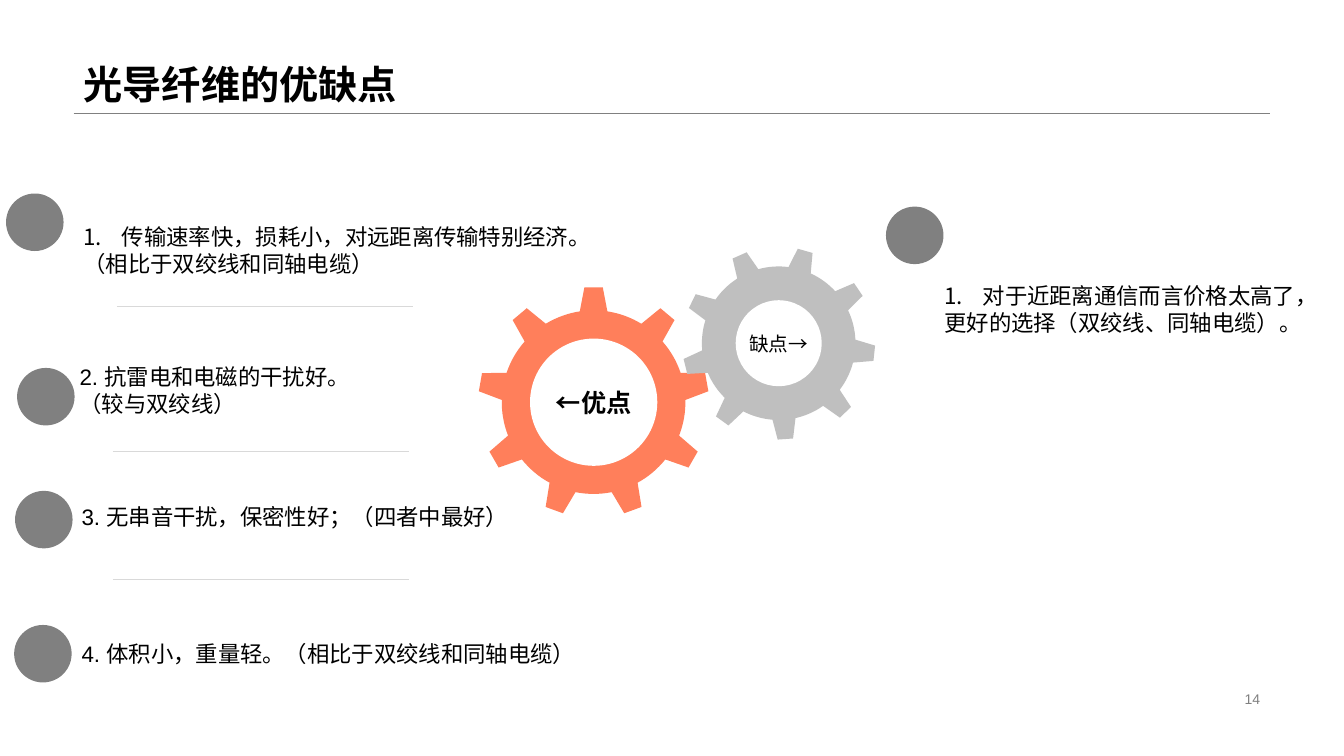
from dataclasses import dataclass
from math import cos, hypot, atan2, pi, radians, sin
from typing import Optional

from lxml import etree
from pptx import Presentation
from pptx.dml.color import RGBColor
from pptx.enum.shapes import MSO_CONNECTOR, MSO_SHAPE
from pptx.enum.text import MSO_ANCHOR, MSO_AUTO_SIZE, PP_ALIGN
from pptx.oxml.ns import qn
from pptx.util import Inches, Pt

STRAIGHT, OVAL = MSO_CONNECTOR.STRAIGHT, MSO_SHAPE.OVAL
MIDDLE, BOTTOM = MSO_ANCHOR.MIDDLE, MSO_ANCHOR.BOTTOM
LEFT, CENTER, RIGHT = PP_ALIGN.LEFT, PP_ALIGN.CENTER, PP_ALIGN.RIGHT
NO_FIT = MSO_AUTO_SIZE.NONE

FONT = "Arial"
BLACK, WHITE, GRAY = "000000", "FFFFFF", "808080"
CORAL, SILVER, PALE = "FF7F5B", "BFBFBF", "D9D9D9"

# The slide is a grid of 100 columns by 100 rows
WIDTH, HEIGHT = Inches(13.33), Inches(7.5)
COLUMN, ROW = WIDTH / 100, HEIGHT / 100

# Gear outline as shares of its outer radius
TEETH = 9
ROOT_HALF, ROOT_RISE = 0.12, 0.79
TIP_HALF, TIP_RISE = 0.08, 1.0
ARC_STEPS = 8

MARKER_SIZE = 4.28
DIVIDER_LENGTH = 22.05
NUMBER_INDENT = Inches(0.38)


@dataclass
class Note:
    left: float
    top: float
    width: float
    height: float
    lines: list[str]
    numbered: bool = False


@dataclass
class Gear:
    x: float
    y: float
    radius: float
    turn: float
    color: str
    hub: float
    label: str
    size: int
    bold: bool


NOTES = [
    Note(69.53, 27.87, 18.23, 26.13,
         ["对于近距离通信而言价格太高了，", "更好的选择（双绞线、同轴电缆）。"], True),
    Note(5.48, 27.87, 23.78, 10.53,
         ["传输速率快，损耗小，对远距离传输特别经济。", "（相比于双绞线和同轴电缆）"], True),
    Note(5.18, 47.07, 23.78, 8.93, ["2. 抗雷电和电磁的干扰好。", "（较与双绞线）"]),
    Note(5.33, 66, 18.23, 4.67, ["3. 无串音干扰，保密性好；（四者中最好）"]),
    Note(5.33, 80.4, 25.13, 12.13, ["4. 体积小，重量轻。（相比于双绞线和同轴电缆）"]),
]
GEARS = [
    Gear(44.17, 53.2, 8.55, 0, CORAL, 9, "←优点", 18, True),
    Gear(57.94, 45.4, 7.15, 16, SILVER, 5.93, "缺点→", 14, False),
]
MARKERS = [(68.06, 31.13), (2.59, 29.4), (3.41, 52.47), (3.26, 68.73), (3.19, 86.47)]
DIVIDERS = [(8.7, 40.53), (8.4, 59.73), (8.4, 76.67)]


def across(columns: float) -> int:
    return round(columns * COLUMN)


def down(rows: float) -> int:
    return round(rows * ROW)


def rgb(color: str) -> RGBColor:
    return RGBColor.from_string(color)


def write(shape, lines: list[str], size: int, color: str = BLACK, bold: bool = False,
          align=LEFT, anchor=MIDDLE, wrap: bool = False) -> None:
    frame = shape.text_frame
    settings = {"auto_size": NO_FIT, "word_wrap": wrap, "vertical_anchor": anchor}
    for name, value in settings.items():
        setattr(frame, name, value)
    frame.text = "\n".join(lines)
    for para in frame.paragraphs:
        para.alignment = align
        for span in para.runs:
            for name, value in {"size": Pt(size), "bold": bold, "name": FONT}.items():
                setattr(span.font, name, value)
            span.font.color.rgb = rgb(color)


def number_first(box) -> None:
    properties = box.text_frame.paragraphs[0]._p.get_or_add_pPr()
    properties.set("marL", str(NUMBER_INDENT))
    properties.set("indent", str(-NUMBER_INDENT))
    etree.SubElement(properties, qn("a:buFont"), typeface=FONT)
    etree.SubElement(properties, qn("a:buAutoNum"), type="arabicPeriod")


def paint(shape, fill: str, line: Optional[str] = None, weight: float = 0) -> None:
    shape.shadow.inherit = False
    shape.fill.solid()
    shape.fill.fore_color.rgb = rgb(fill)
    if line is None:
        shape.line.fill.background()
    else:
        shape.line.color.rgb = rgb(line)
        shape.line.width = Pt(weight)


def add_rule(page, left: float, top: float, length: float, color: str) -> None:
    rule = page.shapes.add_connector(
        STRAIGHT, across(left), down(top), across(left + length), down(top))
    rule.line.color.rgb = rgb(color)
    rule.line.width = Pt(0.25)
    etree.SubElement(rule._element.spPr, qn("a:effectLst"))


def add_disc(page, x: float, y: float, size: float):
    side = across(size)
    return page.shapes.add_shape(
        OVAL, across(x) - side // 2, down(y) - side // 2, side, side)


def add_box(page, left: float, top: float, width: float, height: float):
    return page.shapes.add_textbox(across(left), down(top), across(width), down(height))


def add_gear(page, gear: Gear) -> None:
    pitch = 2 * pi / TEETH
    root_radius = hypot(ROOT_HALF, ROOT_RISE)
    root_angle = atan2(ROOT_HALF, ROOT_RISE)
    tip_radius = hypot(TIP_HALF, TIP_RISE)
    tip_angle = atan2(TIP_HALF, TIP_RISE)
    valley = pitch - 2 * root_angle
    tooth = [(-root_angle, root_radius), (-tip_angle, tip_radius), (tip_angle, tip_radius)]
    tooth += [(root_angle + valley * step / ARC_STEPS, root_radius)
              for step in range(ARC_STEPS)]
    radius = across(gear.radius)
    points = []
    for index in range(TEETH):
        for angle, share in tooth:
            turn = angle + index * pitch + radians(gear.turn)
            points.append((across(gear.x) + round(radius * share * sin(turn)),
                           down(gear.y) - round(radius * share * cos(turn))))
    builder = page.shapes.build_freeform(*points[0])
    builder.add_line_segments(points[1:], close=True)
    paint(builder.convert_to_shape(), gear.color)


def add_hub(page, gear: Gear) -> None:
    hub = add_disc(page, gear.x, gear.y, gear.hub)
    paint(hub, WHITE, WHITE, 4.5)
    write(hub, [gear.label], gear.size, bold=gear.bold, align=CENTER)
    for side in ("left", "top", "right", "bottom"):
        setattr(hub.text_frame, f"margin_{side}", 0)


deck = Presentation()
deck.slide_width, deck.slide_height = WIDTH, HEIGHT
page = deck.slides.add_slide(deck.slide_layouts.get_by_name("Title Only"))

# Title, rule and page number
title = page.shapes.title
title_place = {"left": across(5.48), "top": 0, "width": across(89.02), "height": down(14.93)}
for name, value in title_place.items():
    setattr(title, name, value)
write(title, ["光导纤维的优缺点"], 28, bold=True, anchor=BOTTOM, wrap=True)
title.text_frame.paragraphs[0].line_spacing = 0.9
add_rule(page, 5.48, 14.93, 89.02, GRAY)
write(add_box(page, 70.65, 90.93, 23.85, 3.07), ["14"], 10, GRAY, align=RIGHT, wrap=True)

# Advantages and disadvantage
for note in NOTES:
    note_box = add_box(page, note.left, note.top, note.width, note.height)
    write(note_box, note.lines, 16)
    if note.numbered:
        number_first(note_box)

# Gears, with their hubs on top
for gear in GEARS:
    add_gear(page, gear)
for gear in GEARS:
    add_hub(page, gear)

# Dividers and markers
for left, top in DIVIDERS:
    add_rule(page, left, top, DIVIDER_LENGTH, PALE)
for x, y in MARKERS:
    paint(add_disc(page, x, y, MARKER_SIZE), GRAY)

deck.save("out.pptx")
